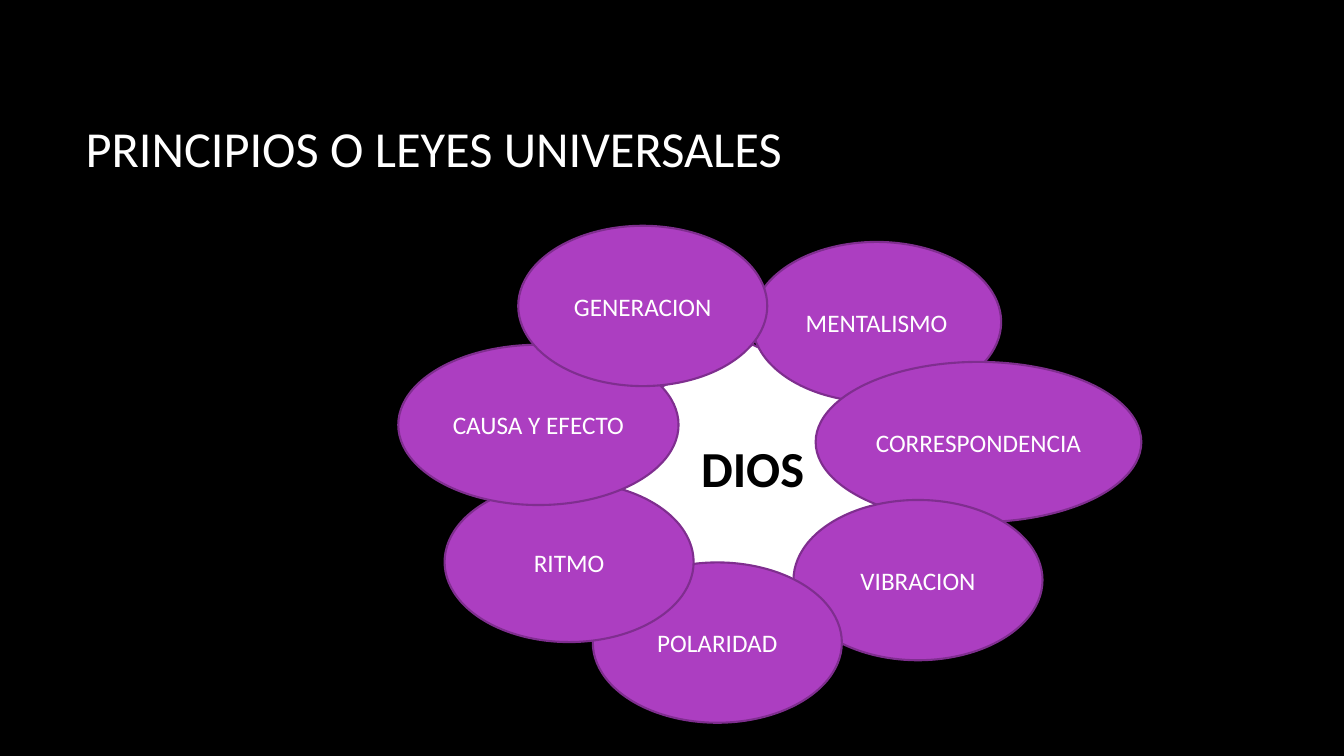
"""Build the slide of the seven universal principles arranged around a centre."""
import pptx
import pptx.util
import pptx.dml.color
import pptx.enum.shapes
import pptx.enum.text

Inches = pptx.util.Inches
Pt = pptx.util.Pt
SHAPE = pptx.enum.shapes.MSO_SHAPE
ALIGN = pptx.enum.text.PP_ALIGN


def paint(color_format, color):
    color_format.rgb = pptx.dml.color.RGBColor.from_string(color)


def write(holder, text, size, color, align, bold=False):
    frame = holder.text_frame
    frame.word_wrap = True
    frame.vertical_anchor = pptx.enum.text.MSO_ANCHOR.MIDDLE
    paragraph = frame.paragraphs[0]
    paragraph.alignment = align
    run = paragraph.add_run()
    run.text = text
    run.font.name = "Calibri"
    run.font.size = Pt(size)
    run.font.bold = bold
    paint(run.font.color, color)


presentation = pptx.Presentation()
presentation.slide_width = Inches(13.33)
presentation.slide_height = Inches(7.5)
slide = presentation.slides.add_slide(presentation.slide_layouts[6])
slide.background.fill.solid()
paint(slide.background.fill.fore_color, "000000")

title = slide.shapes.add_textbox(Inches(0.75), Inches(0.67), Inches(11.08), Inches(1.59))
write(title, "PRINCIPIOS O LEYES UNIVERSALES", 36, "FFFFFF", ALIGN.LEFT)

CENTRE = (SHAPE.HEPTAGON, "FFFFFF", 36, "000000", True)
PRINCIPLE = (SHAPE.OVAL, "AC3EC1", 18, "FFFFFF", False)
flower = [
    ("DIOS", 6.16, 3.42, 2.61, 2.44, CENTRE),
    ("MENTALISMO", 7.46, 2.4, 2.47, 1.59, PRINCIPLE),
    ("CORRESPONDENCIA", 8.09, 3.59, 3.23, 1.59, PRINCIPLE),
    ("VIBRACION", 7.87, 4.96, 2.47, 1.59, PRINCIPLE),
    ("POLARIDAD", 5.88, 5.58, 2.47, 1.59, PRINCIPLE),
    ("RITMO", 4.41, 4.78, 2.47, 1.59, PRINCIPLE),
    ("CAUSA Y EFECTO", 3.95, 3.42, 2.78, 1.59, PRINCIPLE),
    ("GENERACION", 5.14, 2.24, 2.47, 1.59, PRINCIPLE),
]
for name, left, top, width, height, style in flower:
    outline, fill, size, color, bold = style
    petal = slide.shapes.add_shape(
        outline, Inches(left), Inches(top), Inches(width), Inches(height))
    petal.shadow.inherit = False
    petal.fill.solid()
    paint(petal.fill.fore_color, fill)
    paint(petal.line.color, "7F2E8F")
    petal.line.width = Pt(1.5)
    write(petal, name, size, color, ALIGN.CENTER, bold)

presentation.save("out.pptx")
